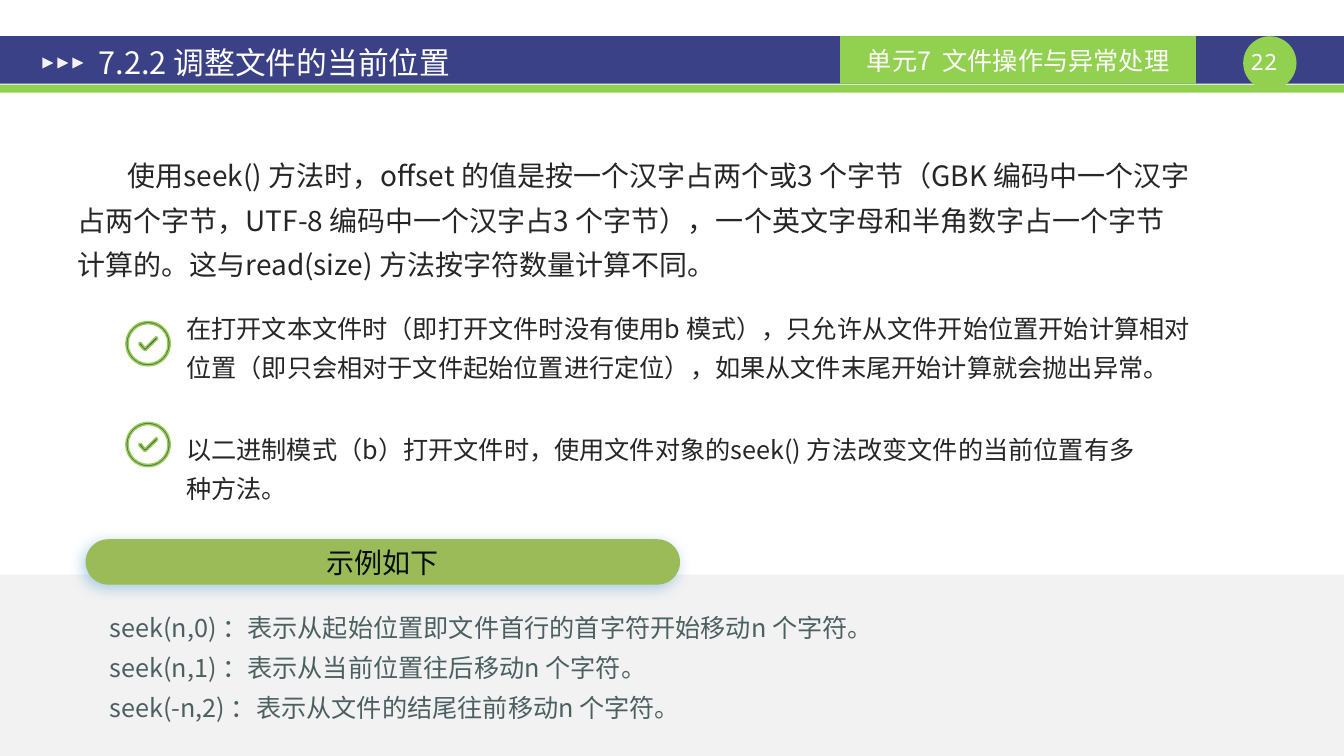
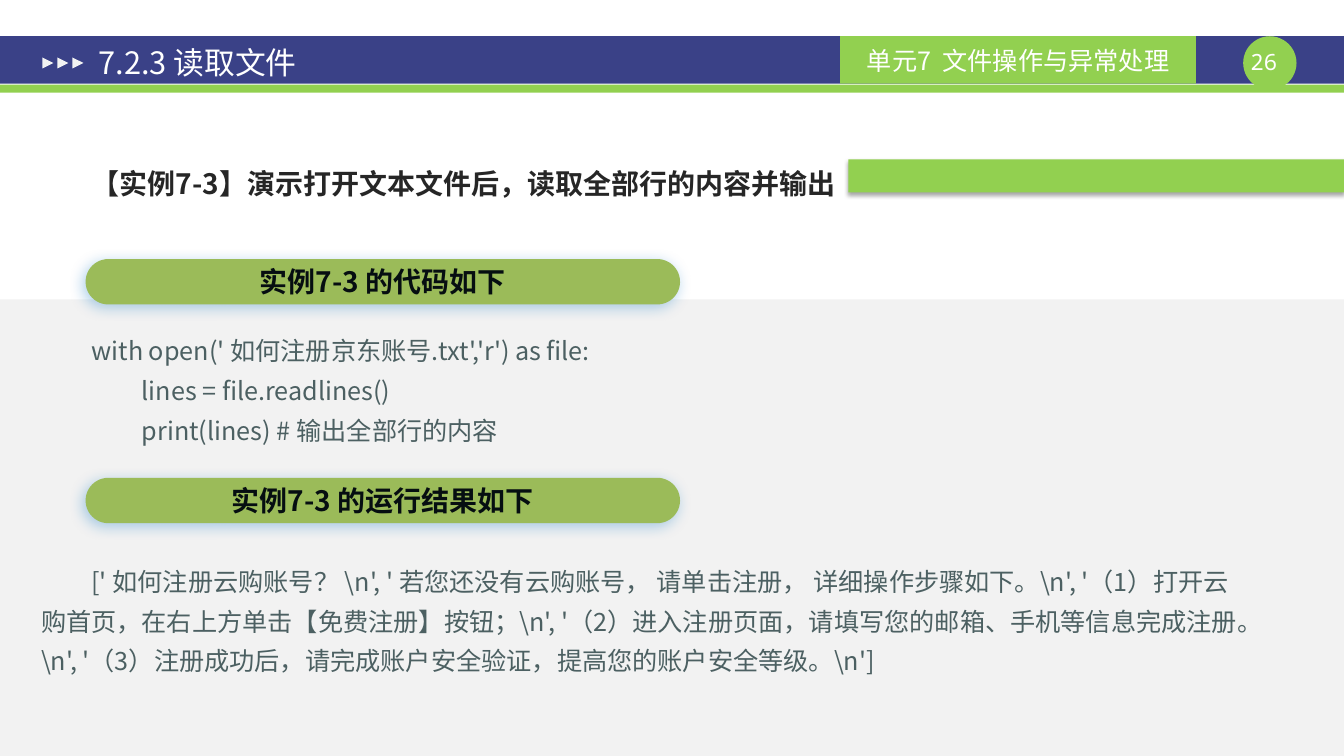
"""Build two lesson slides on file positions and reading files."""
import pptx
import pptx.dml.color
import pptx.enum.shapes
import pptx.enum.text
import pptx.oxml
import pptx.oxml.ns
import pptx.util
from lxml import etree

RGBColor = pptx.dml.color.RGBColor
Shapes = pptx.enum.shapes.MSO_SHAPE
Align = pptx.enum.text.PP_ALIGN
Anchor = pptx.enum.text.MSO_ANCHOR
qn = pptx.oxml.ns.qn

NAVY = RGBColor(0x3A, 0x41, 0x87)
GREEN = RGBColor(0x92, 0xD0, 0x50)
OLIVE = RGBColor(0x9B, 0xBB, 0x59)
PALE = RGBColor(0xF2, 0xF2, 0xF2)
WHITE = RGBColor(0xFF, 0xFF, 0xFF)
INK = RGBColor(0x26, 0x26, 0x26)
CODE_INK = RGBColor(0x4C, 0x60, 0x62)
PILL_INK = RGBColor(0x06, 0x0E, 0x11)
ICON_GREY = RGBColor(0x5E, 0x5E, 0x5E)
FONT = "Noto Sans CJK SC"
NUMBER_FONT = "Noto Sans Mono"

WIDTH = pptx.util.Inches(13.34)
HEIGHT = pptx.util.Inches(7.5)
COLUMN = WIDTH / 100
ROW = HEIGHT / 100
PILL_SHADOW = ("0070C0", 30, 10, 3, 135)
BAR_SHADOW = ("000000", 35, 3.1, 1.8, 90)


def draw(slide, kind, left, top, width, height, fill=None, shadow=None):
    """Place a shape on the grid; kind None gives a text box."""
    place = [round(left * COLUMN), round(top * ROW), round(width * COLUMN), round(height * ROW)]
    if kind is None:
        return slide.shapes.add_textbox(*place)
    shape = slide.shapes.add_shape(kind, *place)
    shape.shadow.inherit = False
    shape.fill.solid()
    shape.fill.fore_color.rgb = fill
    shape.line.fill.background()
    if shadow:
        color, alpha, blur, distance, angle = shadow
        effects = shape.element.spPr.find(qn("a:effectLst"))
        outer = etree.SubElement(
            effects, qn("a:outerShdw"), blurRad=str(pptx.util.Pt(blur)),
            dist=str(pptx.util.Pt(distance)), dir=str(angle * 60000), rotWithShape="0")
        tint = etree.SubElement(outer, qn("a:srgbClr"), val=color)
        etree.SubElement(tint, qn("a:alpha"), val=str(alpha * 1000))
    return shape


def write(shape, text, size=18, color=INK, font=FONT, bold=False, align=Align.LEFT,
          anchor=Anchor.TOP, spacing=1.0, indent=0, tab=0, margins=(0.1, 0.05)):
    """Fill a shape with one paragraph per line of text."""
    frame = shape.text_frame
    frame.word_wrap = True
    frame.auto_size = pptx.enum.text.MSO_AUTO_SIZE.NONE
    frame.vertical_anchor = anchor
    frame.margin_left = frame.margin_right = pptx.util.Inches(margins[0])
    frame.margin_top = frame.margin_bottom = pptx.util.Inches(margins[1])
    for index, line in enumerate(text.split("\n")):
        paragraph = frame.add_paragraph() if index else frame.paragraphs[0]
        properties = paragraph._p.get_or_add_pPr()
        if indent:
            properties.set("marL", "0")
            properties.set("indent", str(pptx.util.Inches(indent)))
        if tab:
            tabs = etree.SubElement(properties, qn("a:tabLst"))
            etree.SubElement(tabs, qn("a:tab"), pos=str(pptx.util.Inches(tab)), algn="l")
        paragraph.alignment = align
        paragraph.line_spacing = spacing
        run = paragraph.add_run()
        run.text = line
        run.font.size = pptx.util.Pt(size)
        run.font.bold = bold
        run.font.color.rgb = color
        run.font.name = font
        etree.SubElement(run._r.get_or_add_rPr(), qn("a:ea"), typeface=font)


presentation = pptx.Presentation()
presentation.slide_width = WIDTH
presentation.slide_height = HEIGHT

slides = []
for title_text, number in (("7.2.2 调整文件的当前位置", "22"), ("7.2.3 读取文件", "26")):
    slide = presentation.slides.add_slide(presentation.slide_layouts[5])
    slides.append(slide)
    draw(slide, Shapes.RECTANGLE, 0, 4.8, 100, 6.27, NAVY)
    draw(slide, Shapes.RECTANGLE, 0, 11.2, 100, 1.07, GREEN)
    draw(slide, Shapes.OVAL, 92.5, 4.8, 3.97, 7.07, GREEN)
    write(draw(slide, None, 92.05, 6.4, 3.97, 3.6), number, size=16, color=WHITE,
          font=NUMBER_FONT, align=Align.CENTER, margins=(0, 0))
    unit = draw(slide, Shapes.RECTANGLE, 62.52, 4.8, 26.46, 6.27, GREEN)
    write(unit, "单元7  文件操作与异常处理", color=WHITE, align=Align.CENTER, anchor=Anchor.MIDDLE)
    for step in range(3):
        arrow = draw(slide, Shapes.ISOSCELES_TRIANGLE, 3.15 + 1.12 * step, 7.6, 0.82, 1.47, PALE)
        arrow.rotation = 90
    title = slide.shapes.title
    title.left, title.width = round(6.37 * COLUMN), round(53.97 * COLUMN)
    title.top, title.height = round(5.33 * ROW), round(5.87 * ROW)
    write(title, title_text, size=22, color=WHITE, anchor=Anchor.MIDDLE, margins=(0.13, 0.07))
    slide.shapes.element.append(title.element)

seek_slide, read_slide = slides

write(draw(seek_slide, None, 5.02, 18.93, 84.33, 19.07),
      "使用seek() 方法时，offset 的值是按一个汉字占两个或3 个字节（GBK 编码中一个汉字占两个字节，"
      "UTF-8 编码中一个汉字占3 个字节），一个英文字母和半角数字占一个字节计算的。"
      "这与read(size) 方法按字符数量计算不同。",
      size=20, spacing=1.32, indent=0.5)

CHECK_POINTS = ((0.30, 0.15), (0.19, 0.26), (0.15, 0.21), (0.13, 0.21), (0.13, 0.23),
                (0.18, 0.285), (0.20, 0.285), (0.31, 0.18), (0.315, 0.16))
MODES = (
    (42.53, 39.6, 76.24,
     "在打开文本文件时（即打开文件时没有使用b 模式），只允许从文件开始位置开始计算相对位置"
     "（即只会相对于文件起始位置进行定位），如果从文件末尾开始计算就会抛出异常。"),
    (55.87, 55.6, 82.46,
     "以二进制模式（b）打开文件时，使用文件对象的seek() 方法改变文件的当前位置有多\n种方法。"),
)
for icon_top, text_top, text_width, text in MODES:
    ring = draw(seek_slide, Shapes.DONUT, 9.37, icon_top, 3.3, 5.87, ICON_GREY)
    ring.adjustments[0] = 0.05
    points = [(round(9.37 * COLUMN + pptx.util.Inches(x)), round(icon_top * ROW + pptx.util.Inches(y)))
              for x, y in CHECK_POINTS]
    builder = seek_slide.shapes.build_freeform(*points[0])
    builder.add_line_segments(points[1:], close=True)
    check = builder.convert_to_shape()
    check.shadow.inherit = False
    check.fill.solid()
    check.fill.fore_color.rgb = ICON_GREY
    for outline in (ring.line, check.line):
        outline.color.rgb = GREEN
        outline.width = pptx.util.Pt(1)
    write(draw(seek_slide, None, 13.12, text_top, text_width, 11.6), text, spacing=1.3)

draw(read_slide, Shapes.RECTANGLE, 63.12, 21.07, 36.88, 4.4, GREEN, BAR_SHADOW)
write(draw(read_slide, None, 2.32, 20, 90.78, 6.67),
      "【实例7-3】演示打开文本文件后，读取全部行的内容并输出",
      size=20, bold=True, spacing=1.32, indent=0.5)

for slide, top in ((seek_slide, 76), (read_slide, 39.6)):
    draw(slide, Shapes.RECTANGLE, 0, top, 100, 100 - top, PALE)

EXAMPLES = (
    (seek_slide, 71.33, "示例如下", False, 3.67, 79.07, 84.48,
     "seek(n,0) ：表示从起始位置即文件首行的首字符开始移动n 个字符。\n"
     "seek(n,1) ：表示从当前位置往后移动n 个字符。\n"
     "seek(-n,2) ：表示从文件的结尾往前移动n 个字符。"),
    (read_slide, 34.27, "实例7-3 的代码如下", True, 2.32, 42.4, 90.78,
     "with open(' 如何注册京东账号.txt','r') as file:\n"
     "\tlines = file.readlines()\n"
     "\tprint(lines) # 输出全部行的内容"),
    (read_slide, 63.2, "实例7-3 的运行结果如下", True, 2.32, 72.93, 90.78,
     r"[' 如何注册云购账号？ \n', ' 若您还没有云购账号， 请单击注册， 详细操作步骤如下。\n', "
     r"'（1）打开云购首页，在右上方单击【免费注册】按钮；\n', "
     r"'（2）进入注册页面，请填写您的邮箱、手机等信息完成注册。\n', "
     r"'（3）注册成功后，请完成账户安全验证，提高您的账户安全等级。\n']"),
)
for slide, pill_top, label, bold, left, top, width, text in EXAMPLES:
    pill = draw(slide, Shapes.ROUNDED_RECTANGLE, 6.37, pill_top, 44.23, 6, OLIVE, PILL_SHADOW)
    pill.adjustments[0] = 0.5
    write(pill, label, size=20, color=PILL_INK, bold=bold, align=Align.CENTER, anchor=Anchor.MIDDLE)
    write(draw(slide, None, left, top, width, 17.33), text,
          color=CODE_INK, spacing=1.32, indent=0.5, tab=1.33)

presentation.save("out.pptx")
